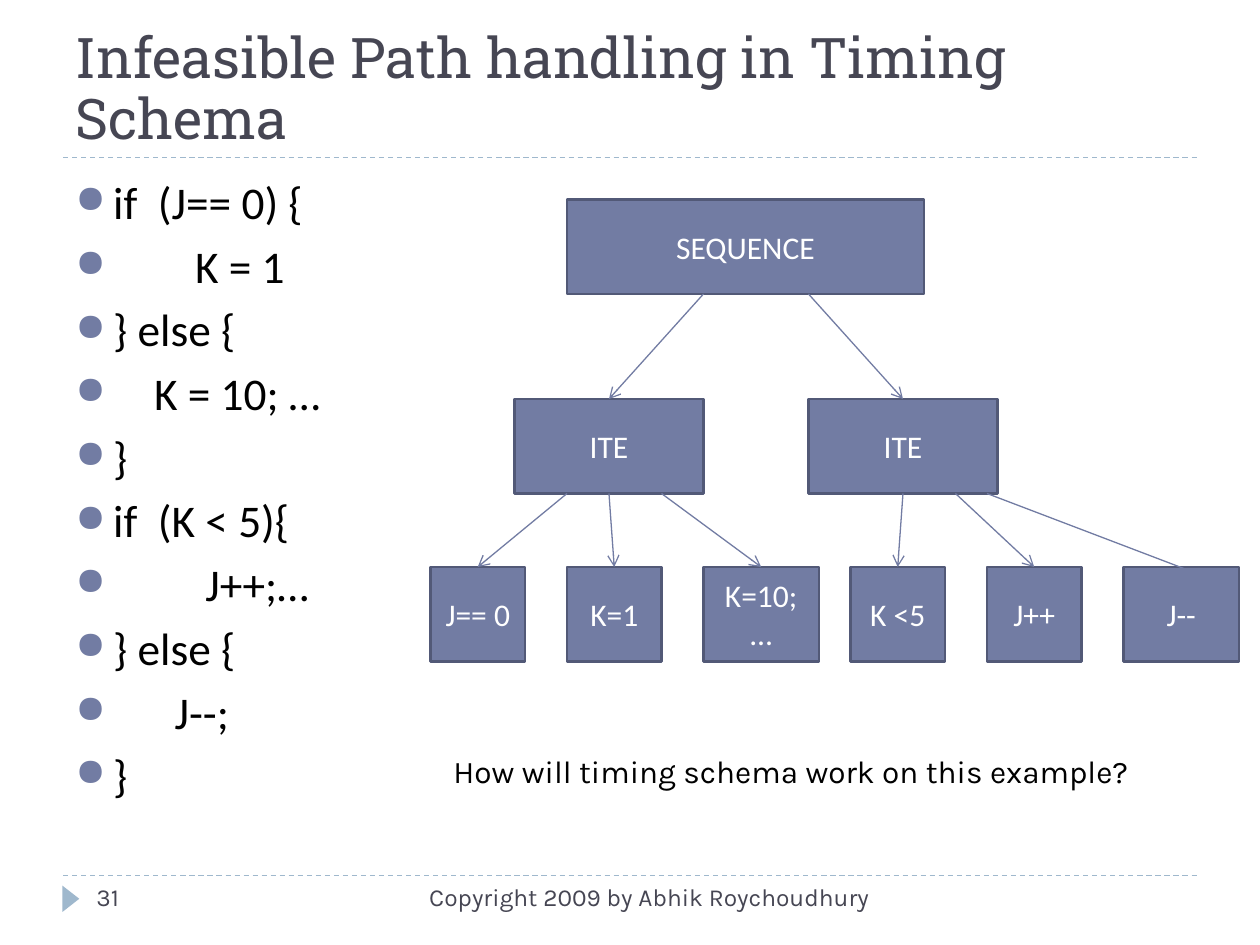
from lxml.etree import SubElement
from pptx import Presentation
from pptx.dml.color import RGBColor as RGB
from pptx.enum.dml import MSO_LINE as Dash
from pptx.enum.shapes import MSO_CONNECTOR as Wire, MSO_SHAPE as Shape
from pptx.enum.text import MSO_ANCHOR as Anchor, PP_ALIGN as Align
from pptx.oxml.ns import qn
from pptx.util import Inches, Pt

COLORS = {"heading": "464653", "body": "000000", "node": "727CA3",
          "edge": "525977", "rule": "9FB8CD", "label": "FFFFFF"}

deck = Presentation()
deck.slide_width, deck.slide_height = Inches(10), Inches(7.5)
slide = deck.slides.add_slide(deck.slide_layouts[6])
shapes = slide.shapes
CELL = deck.slide_width / 120


def grid(*cells):
    return [round(cell * CELL) for cell in cells]


def write(frame, text, font, size, color, align=Align.LEFT, anchor=Anchor.TOP):
    frame.word_wrap = True
    frame.vertical_anchor = anchor
    frame.text = text
    for line in frame.paragraphs:
        line.alignment = align
        line.font.name = font
        line.font.size = Pt(size)
        line.font.color.rgb = RGB.from_string(COLORS[color])


for row in (83.4, 15):
    rule = shapes.add_connector(Wire.STRAIGHT, *grid(6, row, 114, row))
    rule.line.color.rgb = RGB.from_string(COLORS["rule"])
    rule.line.width = Pt(0.75)
    rule.line.dash_style = Dash.DASH
    SubElement(rule.element.spPr, qn("a:effectLst"))

page_marker = shapes.add_shape(Shape.ISOSCELES_TRIANGLE, *grid(5.5, 84.8, 2.5, 1.6))
page_marker.rotation = 90
page_marker.shadow.inherit = False
page_marker.fill.solid()
page_marker.fill.fore_color.rgb = RGB.from_string(COLORS["rule"])
page_marker.line.fill.background()

title = shapes.add_textbox(*grid(6, 2, 111, 13)).text_frame
write(title, "Infeasible Path handling in Timing Schema", "Roboto Slab", 32,
      "heading", anchor=Anchor.BOTTOM)
title.paragraphs[0].line_spacing = 0.9

code_lines = ["if  (J== 0) {", "        K = 1", "} else {", "    K = 10; …", "}",
              "if  (K < 5){", "         J++;…", "} else {", "      J--;", "}"]
code = shapes.add_textbox(*grid(6, 16, 34, 64.8)).text_frame
code.text = "\n".join(code_lines)
for index, line in enumerate(code.paragraphs):
    props = line._p.get_or_add_pPr()
    props.set("marL", str(Inches(0.3)))
    props.set("indent", str(-Inches(0.3)))
    bullet_color = SubElement(props, qn("a:buClr"))
    SubElement(bullet_color, qn("a:srgbClr"), val=COLORS["node"])
    SubElement(props, qn("a:buSzPct"), val="85000")
    SubElement(props, qn("a:buChar"), char="●")
    line.space_before = Pt(5.3 if index else 0)
    line.font.name = "Calibri"
    line.font.size = Pt(25.9)
    line.font.color.rgb = RGB.from_string(COLORS["body"])
code.word_wrap = True

captions = [
    ("Copyright 2009 by Abhik Roychoudhury", (38, 83.4, 46, 4.8), 14, "heading", Align.RIGHT),
    ("31", (8, 83.4, 26, 4.8), 14, "heading", Align.LEFT),
    ("How will timing schema work on this example?", (42, 71, 72, 4.8), 18, "body", Align.LEFT),
]
for text, place, size, color, align in captions:
    write(shapes.add_textbox(*grid(*place)).text_frame, text, "Karla", size, color, align)

tree = [
    (19, [("SEQUENCE", 54, 34)]),
    (38, [("ITE", 49, 18), ("ITE", 77, 18)]),
    (54, [("J== 0", 41, 9), ("K=1", 54, 9), ("K=10;\n…", 67, 11),
          ("K <5", 81, 9), ("J++", 94, 9), ("J--", 107, 11)]),
]
for top, nodes in tree:
    for label, left, width in nodes:
        node = shapes.add_shape(Shape.RECTANGLE, *grid(left, top, width, 9))
        node.shadow.inherit = False
        node.fill.solid()
        node.fill.fore_color.rgb = RGB.from_string(COLORS["node"])
        node.line.color.rgb = RGB.from_string(COLORS["edge"])
        node.line.width = Pt(1.5)
        write(node.text_frame, label, "Calibri", 18, "label", Align.CENTER, Anchor.MIDDLE)

branches = [
    (28, [(67, 58, 38), (77, 86, 38)]),
    (47, [(54, 45.5, 54), (58, 58.5, 54), (63, 72.5, 54),
          (86, 85.5, 54), (91, 98.5, 54), (94, 115, 55)]),
]
for start_row, links in branches:
    for start, end, end_row in links:
        arrow = shapes.add_connector(Wire.STRAIGHT, *grid(start, start_row, end, end_row))
        arrow.line.color.rgb = RGB.from_string(COLORS["node"])
        arrow.line.width = Pt(0.75)
        SubElement(arrow.line._get_or_add_ln(), qn("a:tailEnd"), type="arrow")
        SubElement(arrow.element.spPr, qn("a:effectLst"))

deck.save("out.pptx")
